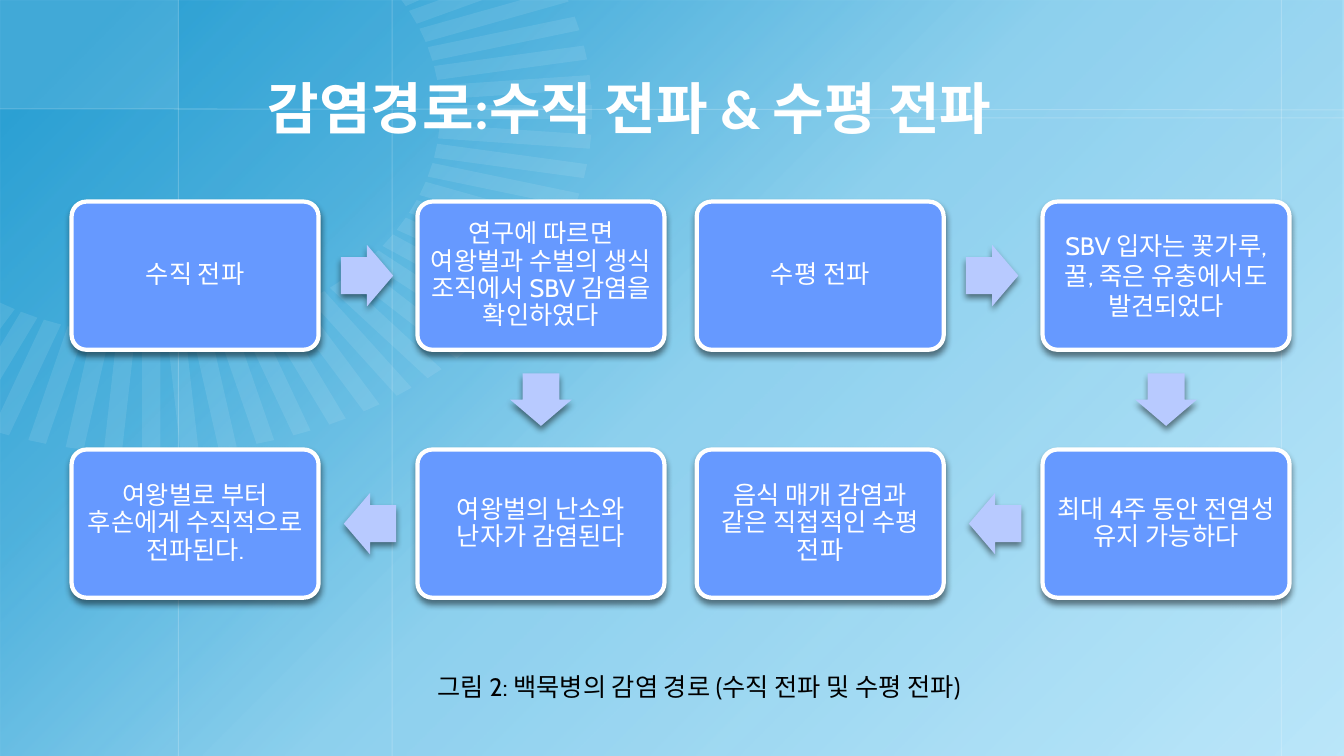
from math import cos, radians, sin

from lxml import etree
from pptx import Presentation
from pptx.dml.color import RGBColor
from pptx.enum.shapes import MSO_CONNECTOR, MSO_SHAPE
from pptx.enum.text import MSO_ANCHOR, MSO_AUTO_SIZE, PP_ALIGN
from pptx.oxml.ns import qn
from pptx.util import Inches, Pt

RECT = MSO_SHAPE.RECTANGLE
ROUND = MSO_SHAPE.ROUNDED_RECTANGLE
ARROW = MSO_SHAPE.RIGHT_ARROW
STRAIGHT = MSO_CONNECTOR.STRAIGHT
MIDDLE = MSO_ANCHOR.MIDDLE
CENTER = PP_ALIGN.CENTER

WIDE, HIGH = 13.33, 7.5
COLORS = {"back": "BCE7FA", "glow": "0F92CC", "white": "FFFFFF", "ray": "F2FAFE",
          "box": "6699FF", "arrow": "B8CAFF", "black": "000000"}

TITLE = "감염경로:수직 전파 & 수평 전파"
CAPTION = "그림 2: 백묵병의 감염 경로 (수직 전파 및 수평 전파)"
# Each loop: left edge, then (text, column, row, line spacing) in reading order
LOOPS = [
    (0.71, [("수직 전파", 0, 0, 0.9),
            ("연구에 따르면 여왕벌과 수벌의 생식 조직에서 SBV 감염을 확인하였다", 1, 0, 0.9),
            ("여왕벌의 난소와 난자가 감염된다", 1, 1, 0.9),
            ("여왕벌로 부터 후손에게 수직적으로 전파된다.", 0, 1, 0.9)]),
    (6.91, [("수평 전파", 0, 0, 0.9),
            ("SBV 입자는 꽃가루, 꿀, 죽은 유충에서도 발견되었다", 1, 0, 1.0),
            ("최대 4주 동안 전염성 유지 가능하다", 1, 1, 0.9),
            ("음식 매개 감염과 같은 직접적인 수평 전파", 0, 1, 0.9)]),
]
STOPS = [(6, 83), (26, 63), (50, 27), (100, 0)]  # position, opacity
GRID = [(1.77, 0, 1.77, HIGH), (12.71, 0, 12.71, HIGH), (3.89, 0, 3.89, HIGH),
        (0, 1.08, WIDE, 1.09), (8.44, 1.17, WIDE, 1.17)]

BOX_W, BOX_H, COL, ROW, TOP = 2.45, 1.47, 3.43, 2.46, 2.0
ARROW_W, ARROW_H = 0.52, 0.61
# Arrow centres from the loop's left edge and the row top, with rotation
TURNS = [(2.93, BOX_H / 2, 0),
         (COL + BOX_W / 2, (BOX_H + ROW) / 2, 90),
         (2.96, ROW + BOX_H / 2, 180)]

HUB_X, HUB_Y, STRETCH = 1.5, 1.11, 1.29
INNER, OUTER, HALF = 2.22, 3.39, 0.07


def color(name):
    return RGBColor.from_string(COLORS[name])


def fade(shape, percent):
    """Set the opacity of the shape's only colour."""
    for tone in shape.element.spPr.iter(qn("a:srgbClr")):
        etree.SubElement(tone, qn("a:alpha")).set("val", str(percent * 1000))


def paint(shape, name):
    shape.shadow.inherit = False
    shape.fill.solid()
    shape.fill.fore_color.rgb = color(name)
    shape.line.fill.background()


def add(slide, kind, x, y, w, h, name):
    shape = slide.shapes.add_shape(kind, Inches(x), Inches(y), Inches(w), Inches(h))
    paint(shape, name)
    return shape


def cast(shape):
    """Give the shape a soft shadow straight below it."""
    effects = shape.element.spPr.find(qn("a:effectLst"))
    drop = etree.SubElement(effects, qn("a:outerShdw"), blurRad=str(Pt(4.5)),
                            dist=str(Pt(3)), dir="5400000", rotWithShape="0")
    tone = etree.SubElement(drop, qn("a:srgbClr"), val=COLORS["black"])
    etree.SubElement(tone, qn("a:alpha"), val="48000")


def write(shape, text, size, face, name, bold=False):
    shape.text_frame.word_wrap = True
    para = shape.text_frame.paragraphs[0]
    run = para.add_run()
    run.text = text
    run.font.size, run.font.name, run.font.bold = Pt(size), face, bold
    run.font.color.rgb = color(name)
    return para


def add_text(slide, x, y, w, h):
    return slide.shapes.add_textbox(Inches(x), Inches(y), Inches(w), Inches(h))


def clip(points, axis):
    """Cut a polygon off where the given coordinate is below zero."""
    kept = []
    for a, b in zip(points, points[1:] + points[:1]):
        if a[axis] >= 0:
            kept.append(a)
        if (a[axis] >= 0) != (b[axis] >= 0):
            t = a[axis] / (a[axis] - b[axis])
            kept.append(tuple(p + t * (q - p) for p, q in zip(a, b)))
    return kept


def add_ray(slide, angle):
    c, s = cos(radians(angle)), sin(radians(angle))
    corners = [(INNER, -HALF), (OUTER, -HALF), (OUTER, HALF), (INNER, HALF)]
    points = [(HUB_X + STRETCH * (r * c - d * s), HUB_Y + r * s + d * c)
              for r, d in corners]
    points = clip(clip(points, 0), 1)
    path = [(Inches(x), Inches(y)) for x, y in points]
    pen = slide.shapes.build_freeform(*path[0])
    pen.add_line_segments(path[1:], close=True)
    ray = pen.convert_to_shape()
    paint(ray, "ray")
    fade(ray, 10)


def add_glow(slide):
    glow = add(slide, RECT, 0, 0, WIDE, HIGH, "glow")
    solid = glow.element.spPr.find(qn("a:solidFill"))
    grad = etree.Element(qn("a:gradFill"), rotWithShape="1")
    stops = etree.SubElement(grad, qn("a:gsLst"))
    for place, alpha in STOPS:
        stop = etree.SubElement(stops, qn("a:gs"), pos=str(place * 1000))
        tone = etree.SubElement(stop, qn("a:srgbClr"), val=COLORS["glow"])
        etree.SubElement(tone, qn("a:alpha"), val=str(alpha * 1000))
    etree.SubElement(grad, qn("a:lin"), ang="2700000", scaled="0")
    solid.getparent().replace(solid, grad)


def add_back(slide):
    fill = slide.background.fill
    fill.solid()
    fill.fore_color.rgb = color("back")
    add_glow(slide)
    fade(add(slide, RECT, 0, 0, 1.77, 1.08, "white"), 10)
    for ends in GRID:
        line = slide.shapes.add_connector(STRAIGHT, *map(Inches, ends))
        line.line.width = Pt(0.75)
        line.line.color.rgb = color("white")
        fade(line, 20)
        etree.SubElement(line.element.spPr, qn("a:effectLst"))
    for angle in range(-30, 121, 5):
        add_ray(slide, angle)


def add_loop(slide, left, steps):
    for text, col, row, space in steps:
        box = add(slide, ROUND, left + col * COL, TOP + row * ROW, BOX_W, BOX_H, "box")
        box.adjustments[0] = 0.1
        box.line.color.rgb = color("white")
        box.line.width = Pt(3)
        cast(box)
        frame = box.text_frame
        frame.vertical_anchor = MIDDLE
        frame.margin_left = frame.margin_right = Inches(0.07)
        frame.margin_top = frame.margin_bottom = Inches(0.07)
        para = write(box, text, 18, "Cabin", "white")
        para.alignment = CENTER
        para.line_spacing = space
    for x, y, turn in TURNS:
        arrow = add(slide, ARROW, left + x - ARROW_W / 2, TOP + y - ARROW_H / 2,
                    ARROW_W, ARROW_H, "arrow")
        arrow.adjustments[0] = 0.6
        arrow.adjustments[1] = 0.5
        arrow.rotation = turn
        cast(arrow)


def main():
    deck = Presentation()
    deck.slide_width, deck.slide_height = Inches(WIDE), Inches(HIGH)
    slide = deck.slides.add_slide(deck.slide_layouts[6])
    add_back(slide)
    title = add_text(slide, 2.56, 0.52, 10.77, 1.08)
    title.text_frame.vertical_anchor = MIDDLE
    write(title, TITLE, 40, "Calibri", "white", True)
    for left, steps in LOOPS:
        add_loop(slide, left, steps)
    caption = add_text(slide, 4.24, 6.61, 5.41, 0.4)
    caption.text_frame.auto_size = MSO_AUTO_SIZE.SHAPE_TO_FIT_TEXT
    write(caption, CAPTION, 18, "Cabin", "black")
    deck.save("out.pptx")


if __name__ == "__main__":
    main()
